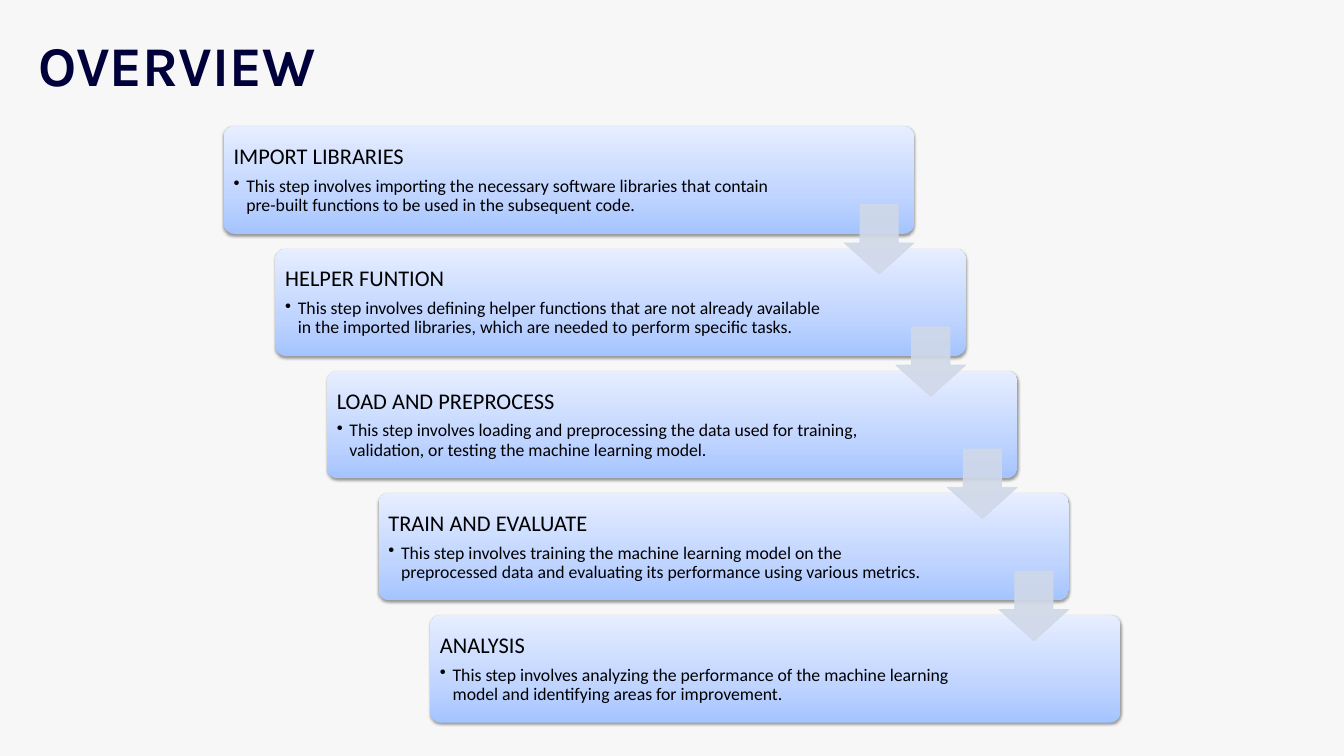
from dataclasses import dataclass

from lxml.etree import SubElement
from pptx import Presentation
from pptx.dml.color import RGBColor
from pptx.enum.shapes import MSO_SHAPE
from pptx.enum.text import MSO_ANCHOR, MSO_AUTO_SIZE, PP_ALIGN
from pptx.oxml.ns import qn
from pptx.util import Cm, Pt


@dataclass(frozen=True)
class Theme:
    background: str = "F7F7F7"
    title: str = "00003B"
    text: str = "000000"
    shadow: str = "000000"
    arrow: str = "D0D8E8"
    card_stops: tuple = ((0, "A4C4FF"), (35, "BFD4FF"), (100, "E6EEFF"))
    title_font: str = "Karla"
    body_font: str = "Calibri"
    title_size: int = 60
    heading_size: int = 24
    detail_size: int = 19


THEME = Theme()

STEPS = [
    ("IMPORT LIBRARIES",
     "This step involves importing the necessary software libraries that contain "
     "pre-built functions to be used in the subsequent code."),
    ("HELPER FUNTION",
     "This step involves defining helper functions that are not already available "
     "in the imported libraries, which are needed to perform specific tasks."),
    ("LOAD AND PREPROCESS",
     "This step involves loading and preprocessing the data used for training, "
     "validation, or testing the machine learning model."),
    ("TRAIN AND EVALUATE",
     "This step involves training the machine learning model on the "
     "preprocessed data and evaluating its performance using various metrics."),
    ("ANALYSIS",
     "This step involves analyzing the performance of the machine learning "
     "model and identifying areas for improvement."),
]

CARD_LEFT, CARD_TOP = 8.46, 4.78
CARD_WIDTH, CARD_HEIGHT = 26.09, 4.06
STEP_X, STEP_Y = 1.95, 4.62
ARROW_SIZE = 2.64
ARROW_DROP = 2.95


def add_color(parent, color, alpha=None):
    node = SubElement(parent, qn("a:srgbClr"), val=color)
    if alpha is not None:
        SubElement(node, qn("a:alpha"), val=str(alpha * 1000))


def add_span(para, text, font, size, color, bold=False):
    span = para.add_run()
    span.text = text
    span.font.name = font
    span.font.size = Pt(size)
    span.font.bold = bold
    span.font.color.rgb = RGBColor.from_string(color)


def set_insets(frame, inset):
    frame.margin_left = frame.margin_right = inset
    frame.margin_top = frame.margin_bottom = inset


def set_title(page, text):
    title = page.shapes.title
    title.left, title.top = Cm(1.47), Cm(1.14)
    title.width, title.height = Cm(45.16), Cm(2.57)
    frame = title.text_frame
    frame.auto_size = MSO_AUTO_SIZE.NONE
    frame.vertical_anchor = MSO_ANCHOR.TOP
    set_insets(frame, 0)
    para = frame.paragraphs[0]
    para.alignment = PP_ALIGN.LEFT
    add_span(para, text, THEME.title_font, THEME.title_size, THEME.title, bold=True)


def add_card(page, left, top):
    card = page.shapes.add_shape(MSO_SHAPE.ROUNDED_RECTANGLE, Cm(left), Cm(top),
                                 Cm(CARD_WIDTH), Cm(CARD_HEIGHT))
    card.adjustments[0] = 0.1
    card.line.fill.background()
    card.fill.gradient()
    card.fill.gradient_angle = 90
    properties = card._element.spPr
    stops = properties.find(".//" + qn("a:gsLst"))
    stops.clear()
    for position, color in THEME.card_stops:
        add_color(SubElement(stops, qn("a:gs"), pos=str(position * 1000)), color)
    card.shadow.inherit = False
    shadow = SubElement(properties.find(qn("a:effectLst")), qn("a:outerShdw"),
                        blurRad=str(Pt(3.1)), dist=str(Pt(1.6)),
                        dir="5400000", rotWithShape="0")
    add_color(shadow, THEME.shadow, alpha=38)


def set_spacing(para, after_percent):
    para.line_spacing = 0.9
    after = SubElement(para._p.get_or_add_pPr(), qn("a:spcAft"))
    SubElement(after, qn("a:spcPct"), val=str(after_percent * 1000))


def set_bullet(para):
    properties = para._p.get_or_add_pPr()
    properties.set("marL", str(Cm(0.48)))
    properties.set("indent", str(Cm(-0.48)))
    SubElement(properties, qn("a:buChar"), char="•")


def add_step_text(page, left, top, heading, detail):
    box = page.shapes.add_textbox(Cm(left + 0.12), Cm(top + 0.12), Cm(21.26), Cm(3.84))
    frame = box.text_frame
    frame.word_wrap = True
    frame.vertical_anchor = MSO_ANCHOR.MIDDLE
    set_insets(frame, Cm(0.25))
    para = frame.paragraphs[0]
    set_spacing(para, 35)
    add_span(para, heading, THEME.body_font, THEME.heading_size, THEME.text)
    para = frame.add_paragraph()
    para.level = 1
    set_spacing(para, 15)
    set_bullet(para)
    add_span(para, detail, THEME.body_font, THEME.detail_size, THEME.text)


def add_arrow(page, left, top):
    arrow = page.shapes.add_shape(MSO_SHAPE.DOWN_ARROW, Cm(left), Cm(top),
                                  Cm(ARROW_SIZE), Cm(ARROW_SIZE))
    arrow.adjustments[0] = 0.55
    arrow.adjustments[1] = 0.45
    arrow.shadow.inherit = False
    arrow.line.width = Pt(0.75)
    for fill in (arrow.fill, arrow.line.fill):
        fill.solid()
        fill.fore_color.rgb = RGBColor.from_string(THEME.arrow)
    for color in arrow._element.spPr.iter(qn("a:srgbClr")):
        SubElement(color, qn("a:alpha"), val="90000")


def main():
    deck = Presentation()
    deck.slide_width, deck.slide_height = Cm(50.8), Cm(28.58)
    page = deck.slides.add_slide(deck.slide_layouts[5])
    page.background.fill.solid()
    page.background.fill.fore_color.rgb = RGBColor.from_string(THEME.background)
    set_title(page, "OVERVIEW")

    corners = [(CARD_LEFT + i * STEP_X, CARD_TOP + i * STEP_Y) for i in range(len(STEPS))]
    for (left, top), (heading, detail) in zip(corners, STEPS):
        add_card(page, left, top)
        add_step_text(page, left, top, heading, detail)
    for left, top in corners[:-1]:
        add_arrow(page, left + CARD_WIDTH - ARROW_SIZE, top + ARROW_DROP)

    deck.save("out.pptx")


if __name__ == "__main__":
    main()
